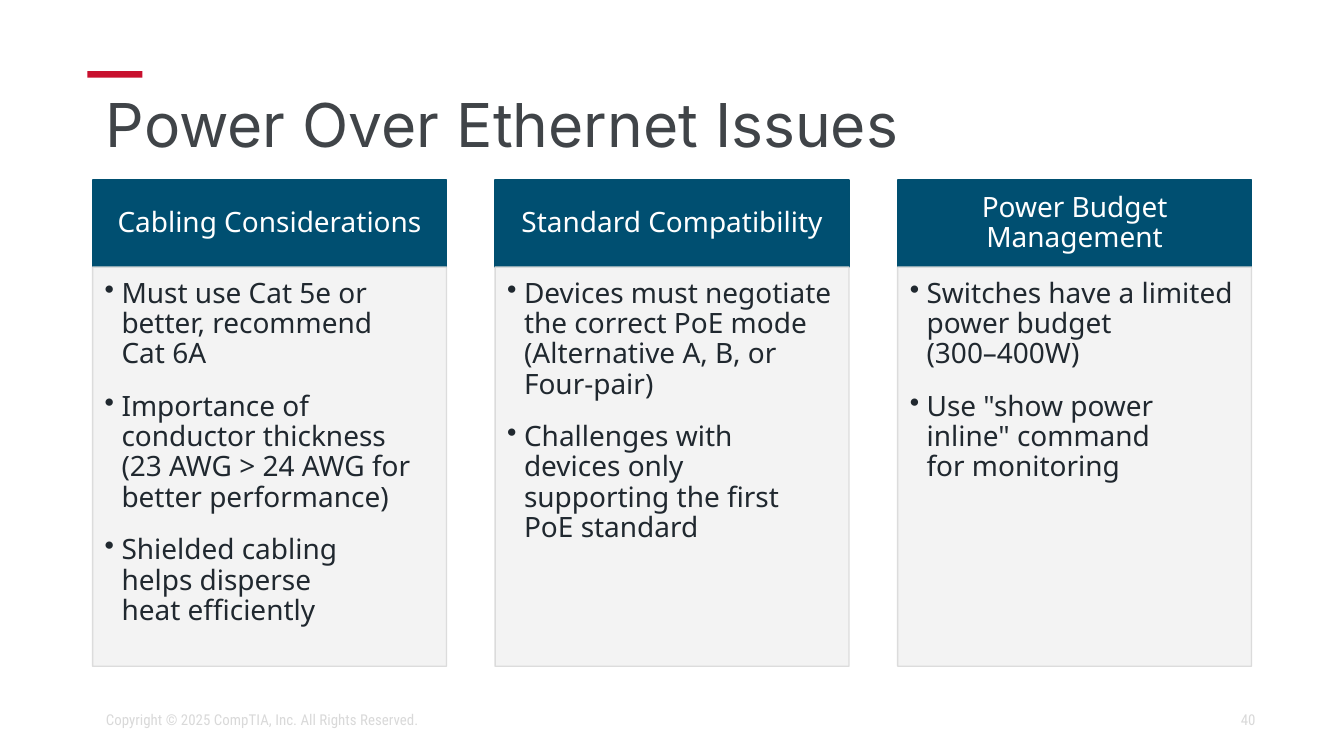
import pptx
import pptx.util
import pptx.dml.color
import pptx.enum.shapes
import pptx.enum.text
import pptx.oxml.ns
import lxml.etree

Pt = pptx.util.Pt
ALIGN = pptx.enum.text.PP_ALIGN
ANCHOR = pptx.enum.text.MSO_ANCHOR

LEFT, WIDTH = 49.6, 620.9
COLUMN_WIDTH = 189.6
COLUMN_STEP = (WIDTH - COLUMN_WIDTH) / 2
COLUMN_TOP, COLUMN_HEIGHT, HEADER_HEIGHT = 96.3, 260.8, 46.8
LINE_SPACING = 0.9

COLUMNS = [
    ("Cabling Considerations", [
        "Must use Cat 5e or better, recommend \vCat 6A",
        "Importance of conductor thickness (23 AWG > 24 AWG for better performance)",
        "Shielded cabling \vhelps disperse \vheat efficiently",
    ]),
    ("Standard Compatibility", [
        "Devices must negotiate the correct PoE mode (Alternative A, B, or Four-pair)",
        "Challenges with devices only supporting the first PoE standard",
    ]),
    ("Power Budget Management", [
        "Switches have a limited power budget \v(300–400W)",
        'Use "show power inline" command \vfor monitoring',
    ]),
]


def rgb(value):
    return pptx.dml.color.RGBColor.from_string(value)


def set_alpha(properties, percent):
    """Make every solid colour below the given element partly transparent."""
    for color in properties.iter(pptx.oxml.ns.qn("a:srgbClr")):
        alpha = lxml.etree.SubElement(color, pptx.oxml.ns.qn("a:alpha"))
        alpha.set("val", str(percent * 1000))


def add_bullet(para, indent):
    properties = para._p.get_or_add_pPr()
    properties.set("marL", str(Pt(indent)))
    properties.set("indent", str(-Pt(indent)))
    bullet = lxml.etree.SubElement(properties, pptx.oxml.ns.qn("a:buChar"))
    bullet.set("char", "•")


def style_font(para, name, size, color):
    para.font.name = name
    para.font.size = Pt(size)
    para.font.color.rgb = rgb(color)


def set_frame(frame, anchor, insets):
    frame.word_wrap = True
    frame.vertical_anchor = anchor
    (frame.margin_left, frame.margin_top,
     frame.margin_right, frame.margin_bottom) = [Pt(inset) for inset in insets]


def add_rectangle(page, box, fill, line=None, line_width=1):
    shape = page.shapes.add_shape(
        pptx.enum.shapes.MSO_SHAPE.RECTANGLE, *[Pt(length) for length in box])
    shape.shadow.inherit = False
    shape.fill.solid()
    shape.fill.fore_color.rgb = rgb(fill)
    if line:
        shape.line.color.rgb = rgb(line)
        shape.line.width = Pt(line_width)
    else:
        shape.line.fill.background()
    return shape


def add_label(page, box, text, font, size, color, align=ALIGN.LEFT):
    label = page.shapes.add_textbox(*[Pt(length) for length in box])
    set_frame(label.text_frame, ANCHOR.MIDDLE, (7.2, 3.6, 7.2, 3.6))
    para = label.text_frame.paragraphs[0]
    para.text = text
    para.alignment = align
    style_font(para, font, size, color)
    return para


def add_title(page, box):
    left, top, width, height = box
    # Accent bar above the title
    add_rectangle(page, (left - 2.8, top - 8, 29.5, 3.6), "C8102E")
    para = add_label(page, box, "Power Over Ethernet Issues", "Inter", 32.4, "404448")
    para.line_spacing = LINE_SPACING


def add_column(page, box, heading, points):
    left, top, width, height = box
    # Header
    header = add_rectangle(page, (left, top, width, HEADER_HEIGHT), "004F71", "004F70")
    set_frame(header.text_frame, ANCHOR.MIDDLE, (8.6, 5, 8.6, 5))
    para = header.text_frame.paragraphs[0]
    para.text = heading
    para.alignment = ALIGN.CENTER
    para.line_spacing = LINE_SPACING
    style_font(para, "Noto Sans", 15, "FFFFFF")

    # Body with bullet points
    body = add_rectangle(
        page, (left, top + HEADER_HEIGHT, width, height - HEADER_HEIGHT),
        "F2F2F2", "D9D9D9", 0.75)
    set_alpha(body._element.spPr, 90)
    frame = body.text_frame
    set_frame(frame, ANCHOR.TOP, (6.5, 6.5, 8.6, 9.4))
    for index, point in enumerate(points):
        para = frame.add_paragraph() if index else frame.paragraphs[0]
        para.text = point
        add_bullet(para, 9)
        para.alignment = ALIGN.LEFT
        para.line_spacing = LINE_SPACING
        para.space_before = Pt(6 if index else 0)
        para.space_after = Pt(6)
        style_font(para, "Noto Sans", 15, "20282F")


def add_footer(page, box):
    left, top, width, height = box
    font = ("Roboto Condensed", 8, "D9D9D9")
    number_width = 171.4
    add_label(page, (left + width - number_width, top, number_width, height),
              "40", *font, ALIGN.RIGHT)
    add_label(page, (left, top, 310.3, height),
              "Copyright © 2025 CompTIA, Inc. All Rights Reserved.", *font)


def main():
    deck = pptx.Presentation()
    deck.slide_width, deck.slide_height = Pt(720), Pt(404.64)
    page = deck.slides.add_slide(deck.slide_layouts[6])
    add_title(page, (LEFT, 46.1, WIDTH, 45.4))
    for index, (heading, points) in enumerate(COLUMNS):
        box = (LEFT + index * COLUMN_STEP, COLUMN_TOP, COLUMN_WIDTH, COLUMN_HEIGHT)
        add_column(page, box, heading, points)
    add_footer(page, (LEFT, 374.8, 630.1, 21.6))
    deck.save("out.pptx")


if __name__ == "__main__":
    main()
